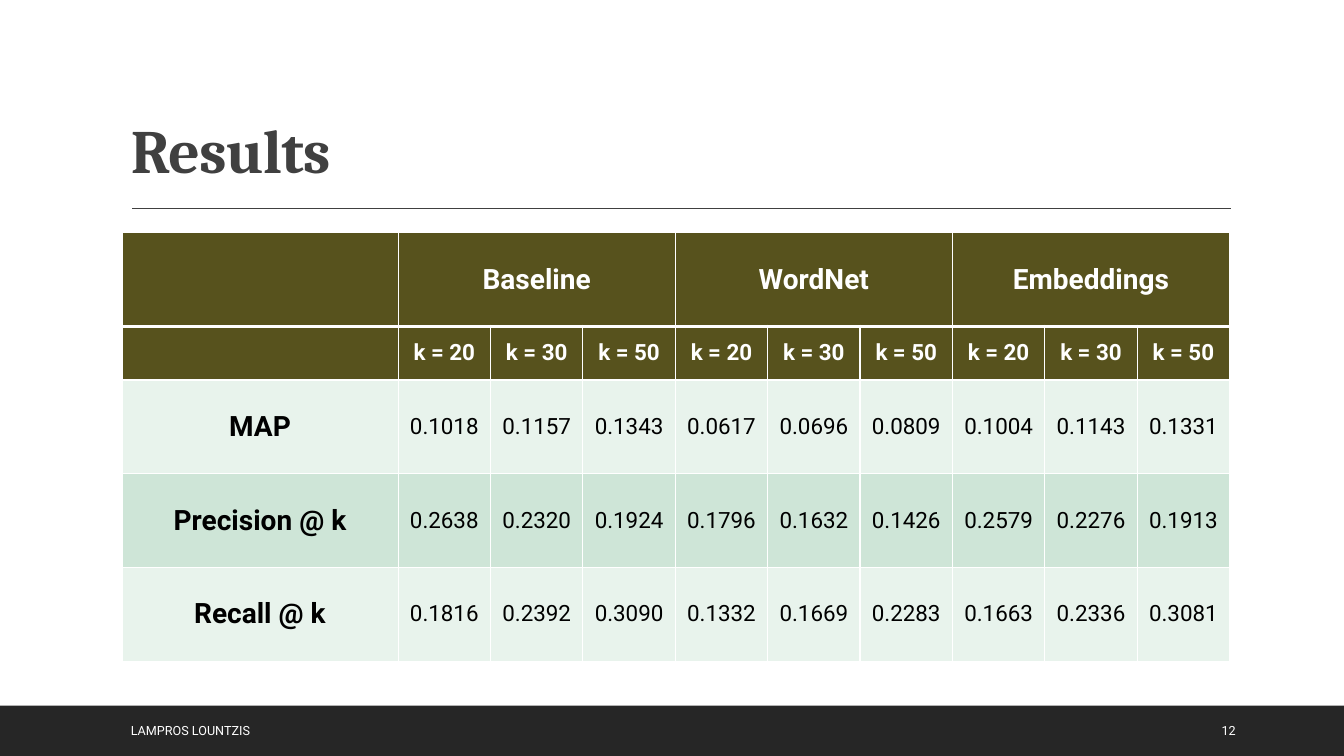
from dataclasses import dataclass

from lxml import etree
from pptx import Presentation
from pptx import util as u
from pptx.dml.color import RGBColor
from pptx.enum import shapes, text
from pptx.oxml import ns

Pt = u.Pt


@dataclass(frozen=True)
class Theme:
    white: str = "FFFFFF"
    black: str = "000000"
    ink: str = "404040"
    footer: str = "262626"
    olive: str = "57521D"
    pale: str = "E8F3EC"
    mint: str = "CEE5D7"
    title_font: str = "Cambria"
    body_font: str = "Roboto"
    title_size: float = 44
    label_size: float = 20
    value_size: float = 16
    footer_size: float = 9


@dataclass(frozen=True)
class Style:
    size: float
    color: str
    bold: bool = False
    font: str = Theme.body_font


@dataclass(frozen=True)
class Bar:
    y: float
    h: float
    color: str


@dataclass(frozen=True)
class Label:
    text: str
    x: float
    y: float
    w: float
    h: float
    style: Style
    anchor: text.MSO_ANCHOR = text.MSO_ANCHOR.MIDDLE


@dataclass(frozen=True)
class Metric:
    name: str
    values: str
    fill: str


T = Theme()
W, H = 960, 540
TABLE_X, TABLE_Y = 87.12, 166.32
COL_WIDTHS = [197.28] + [66] * 9
ROW_HEIGHTS = [66.96, 38.16] + [66.96] * 3

HEAD = Style(T.label_size, T.white, True)
SUBHEAD = Style(T.value_size, T.white, True)
NAME = Style(T.label_size, T.black, True)
VALUE = Style(T.value_size, T.black)
FOOT = Style(T.footer_size, T.white)
TITLE = Style(T.title_size, T.ink, True, T.title_font)

METHODS = ["Baseline", "WordNet", "Embeddings"]
CUTOFFS = ["k = 20", "k = 30", "k = 50"]
METRICS = [
    Metric("MAP", "0.1018 0.1157 0.1343 0.0617 0.0696 0.0809 0.1004 0.1143 0.1331", T.pale),
    Metric("Precision @ k", "0.2638 0.2320 0.1924 0.1796 0.1632 0.1426 0.2579 0.2276 0.1913", T.mint),
    Metric("Recall @ k", "0.1816 0.2392 0.3090 0.1332 0.1669 0.2283 0.1663 0.2336 0.3081", T.pale),
]
BACKDROP = Bar(0, H, T.white)
FOOTER = Bar(504, 36, T.footer)
HEADING = Label("Results", 86.4, 22.32, 792, 114.48, TITLE, text.MSO_ANCHOR.BOTTOM)
FOOTER_LABELS = [
    Label("12", 865.44, 507.6, 61.2, 28.8, FOOT),
    Label("LAMPROS LOUNTZIS", 86.4, 507.6, 537.12, 28.8, FOOT),
]


def rgb(color: str) -> RGBColor:
    return RGBColor.from_string(color)


def style_run(p, style: Style) -> None:
    f = p.runs[0].font
    f.name, f.size, f.bold = style.font, Pt(style.size), style.bold
    f.color.rgb = rgb(style.color)


def draw_bar(s, bar: Bar) -> None:
    sp = s.shapes.add_shape(shapes.MSO_SHAPE.RECTANGLE, 0, Pt(bar.y), Pt(W), Pt(bar.h))
    sp.shadow.inherit = False
    sp.fill.solid()
    sp.fill.fore_color.rgb = rgb(bar.color)
    sp.line.fill.background()


def draw_label(s, label: Label):
    sp = s.shapes.add_textbox(Pt(label.x), Pt(label.y), Pt(label.w), Pt(label.h))
    tf = sp.text_frame
    tf.word_wrap = True
    tf.vertical_anchor = label.anchor
    p = tf.paragraphs[0]
    p.text = label.text
    style_run(p, label.style)
    return p


def draw_rule(s) -> None:
    ln = s.shapes.add_connector(
        shapes.MSO_CONNECTOR.STRAIGHT, Pt(94.32), Pt(149.04), Pt(879.12), Pt(149.04))
    ln.line.color.rgb = rgb(T.ink)
    ln.line.width = Pt(1)
    etree.SubElement(ln._element.spPr, ns.qn("a:effectLst"))


def paint_cell(cell, fill: str, top: float, bottom: float) -> None:
    cell.fill.solid()
    cell.fill.fore_color.rgb = rgb(fill)
    tcPr = cell._tc.get_or_add_tcPr()
    # Borders come before the fill in the cell properties
    for i, (side, width) in enumerate([("L", 1), ("R", 1), ("T", top), ("B", bottom)]):
        ln = etree.Element(ns.qn(f"a:ln{side}"), w=str(Pt(width)))
        solid = etree.SubElement(ln, ns.qn("a:solidFill"))
        etree.SubElement(solid, ns.qn("a:srgbClr"), val=T.white)
        tcPr.insert(i, ln)


def write_cell(cell, words: str, style: Style) -> None:
    cell.vertical_anchor = text.MSO_ANCHOR.MIDDLE
    p = cell.text_frame.paragraphs[0]
    p.text = words
    p.alignment = text.PP_ALIGN.CENTER
    style_run(p, style)


def draw_table(s) -> None:
    tbl = s.shapes.add_table(
        len(ROW_HEIGHTS), len(COL_WIDTHS), Pt(TABLE_X), Pt(TABLE_Y),
        Pt(sum(COL_WIDTHS)), Pt(sum(ROW_HEIGHTS))).table
    for col, width in zip(tbl.columns, COL_WIDTHS):
        col.width = Pt(width)
    for row, height in zip(tbl.rows, ROW_HEIGHTS):
        row.height = Pt(height)

    # Fills and borders, with a thick line under the first row
    fills = [T.olive, T.olive] + [m.fill for m in METRICS]
    for r, fill in enumerate(fills):
        for cell in tbl.rows[r].cells:
            paint_cell(cell, fill, 3 if r == 1 else 1, 3 if r == 0 else 1)

    # Two header rows: methods above their cutoffs
    span = len(CUTOFFS)
    for m, method in enumerate(METHODS):
        first = 1 + m * span
        tbl.cell(0, first).merge(tbl.cell(0, first + span - 1))
        write_cell(tbl.cell(0, first), method, HEAD)
        for k, cutoff in enumerate(CUTOFFS):
            write_cell(tbl.cell(1, first + k), cutoff, SUBHEAD)

    # One row per metric
    for r, metric in enumerate(METRICS, 2):
        write_cell(tbl.cell(r, 0), metric.name, NAME)
        for c, value in enumerate(metric.values.split(), 1):
            write_cell(tbl.cell(r, c), value, VALUE)


def main() -> None:
    prs = Presentation()
    prs.slide_width, prs.slide_height = Pt(W), Pt(H)
    s = prs.slides.add_slide(prs.slide_layouts[6])

    # Heading
    draw_bar(s, BACKDROP)
    p = draw_label(s, HEADING)
    p.line_spacing = 0.9
    p.runs[0]._r.get_or_add_rPr().set("spc", "-50")
    draw_rule(s)

    # Results
    draw_table(s)

    # Footer
    draw_bar(s, FOOTER)
    for label in FOOTER_LABELS:
        draw_label(s, label)

    prs.save("out.pptx")


if __name__ == "__main__":
    main()
